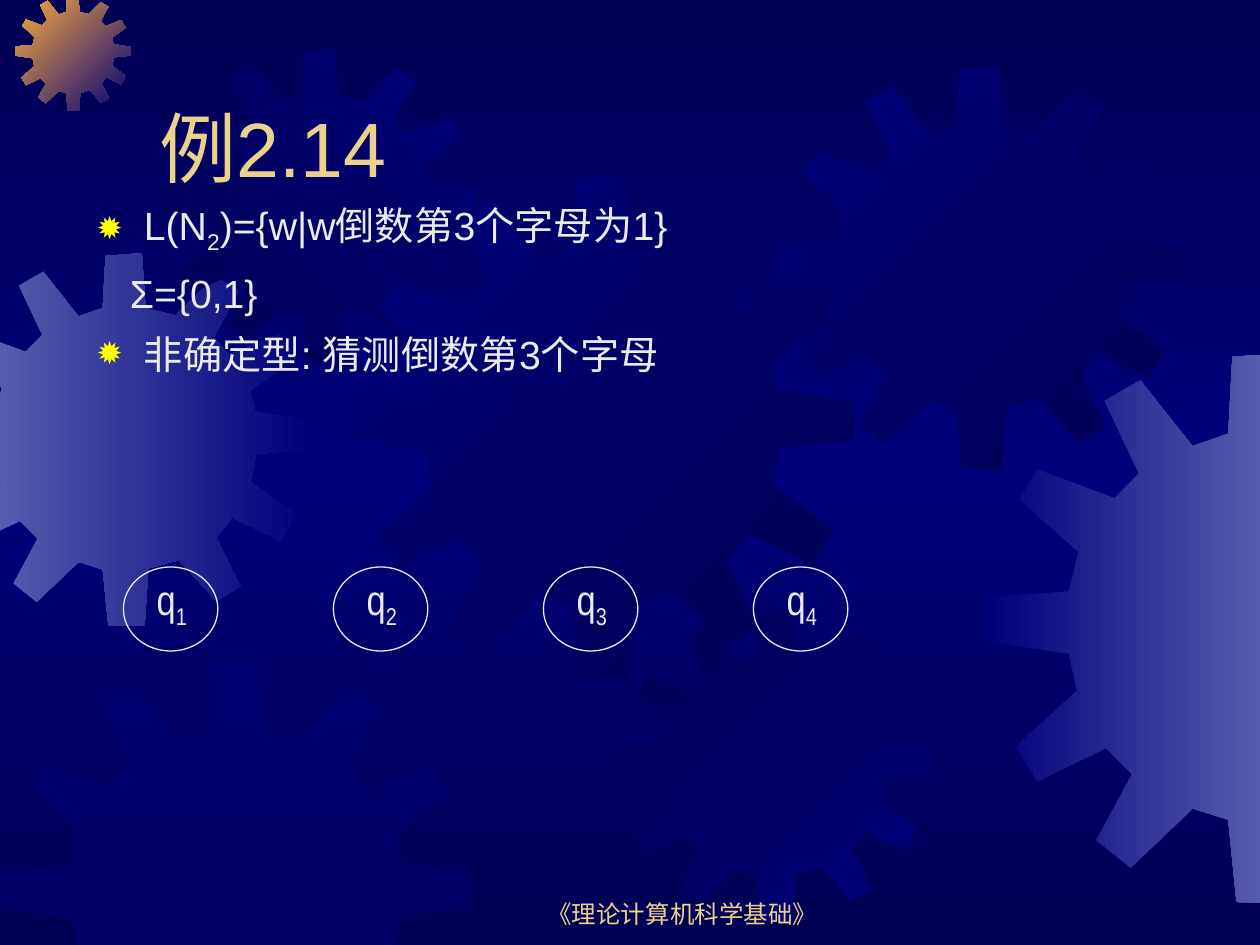
from copy import deepcopy

from lxml.etree import SubElement
from pptx import Presentation
from pptx.dml.color import RGBColor
from pptx.enum.shapes import MSO_SHAPE
from pptx.enum.text import MSO_ANCHOR, MSO_AUTO_SIZE, PP_ALIGN
from pptx.oxml.ns import qn
from pptx.util import Pt

# Content: each line is a list of (text, is_subscript)
TITLE = "例2.14"
BODY = [
    (True, [("L(N", False), ("2", True), (")={w|w倒数第3个字母为1}", False)]),
    (False, [("Σ={0,1}", False)]),
    (True, [("非确定型: 猜测倒数第3个字母", False)]),
]
STATES = ["1", "2", "3", "4"]
FOOTER = "《理论计算机科学基础》"

# Colours
NAVY, BLUE, LILAC, ORANGE = "000054", "00007A", "555BAD", "FCAB40"
GOLD, WHITE, YELLOW = "EBD189", "EAEAEA", "FFFF00"

WIDTH, HEIGHT = 720, 540

# One gear outline on a 401-unit square, reused at every size
GEAR_UNITS = 401
GEAR = [
    (255, 67), (223, 59), (219, 0), (180, 3), (177, 59), (151, 68),
    (113, 20), (87, 35), (112, 88), (94, 106), (38, 85), (25, 107),
    (68, 145), (61, 174), (1, 178), (0, 210), (61, 219), (67, 246),
    (22, 287), (38, 312), (88, 288), (107, 307), (81, 355), (106, 375),
    (151, 332), (177, 340), (183, 400), (222, 401), (226, 339), (259, 330),
    (299, 374), (325, 358), (299, 306), (316, 284), (368, 309), (384, 281),
    (336, 246), (342, 216), (401, 210), (400, 180), (341, 171), (335, 148),
    (383, 114), (367, 87), (313, 109), (296, 91), (323, 41), (297, 25),
]

# Gears: left, top, size, colours, clockwise gradient angle
GEARS = [
    (-35.3, 144.7, 213.1, [LILAC, BLUE], 0),
    (8.6, -2.9, 66.2, [ORANGE, BLUE], 45),
    (93.6, 28.1, 178.6, [NAVY, BLUE], 315),
    (199.4, 100.1, 289, [BLUE, NAVY], 45),
    (0, 378, 269.3, [BLUE], 0),
    (353.5, 348.5, 178.6, [NAVY, BLUE], 45),
    (445, 38.2, 230.4, [BLUE, NAVY], 45),
    (563, 201.6, 314.6, [BLUE, LILAC], 0),
]


def color(hex_text):
    return RGBColor.from_string(hex_text)


def set_gradient(fill, colors, angle):
    fill.gradient()
    fill.gradient_angle = -angle % 360
    stop_list = fill._xPr.find(qn("a:gradFill")).find(qn("a:gsLst"))
    while len(stop_list) < len(colors):
        stop_list.append(deepcopy(stop_list[0]))
    for index, (stop, hex_text) in enumerate(zip(fill.gradient_stops, colors)):
        stop.color.rgb = color(hex_text)
        stop.position = index / (len(colors) - 1)


def clip(points, axis, limit, sign):
    """Keep the part of an outline where sign * (coordinate - limit) >= 0."""
    kept = []
    for start, end in zip(points[-1:] + points[:-1], points):
        before, after = (sign * (point[axis] - limit) for point in (start, end))
        if (before >= 0) != (after >= 0):
            share = before / (before - after)
            kept.append(tuple(a + share * (b - a) for a, b in zip(start, end)))
        if after >= 0:
            kept.append(end)
    return kept


def add_gear(shapes, left, top, size, colors, angle):
    scale = size / GEAR_UNITS
    points = [(left + x * scale, top + y * scale) for x, y in GEAR]
    for axis, limit, sign in [(0, 0, 1), (0, WIDTH, -1), (1, 0, 1), (1, HEIGHT, -1)]:
        points = clip(points, axis, limit, sign)
    corners = [(Pt(x), Pt(y)) for x, y in points]
    builder = shapes.build_freeform(*corners[0], scale=1.0)
    builder.add_line_segments(corners[1:], close=True)
    shape = builder.convert_to_shape()
    shape.shadow.inherit = False
    shape.line.fill.background()
    if len(colors) > 1:
        set_gradient(shape.fill, colors, angle)
    else:
        shape.fill.solid()
        shape.fill.fore_color.rgb = color(colors[0])
        tint = shape.fill._xPr.find(qn("a:solidFill"))[0]
        SubElement(tint, qn("a:alpha"), val="50000")


def place(shape, left, top, width, height):
    shape.left, shape.top, shape.width, shape.height = map(Pt, (left, top, width, height))


def set_font(paragraph, size, hex_text, name="Arial"):
    paragraph.font.size = Pt(size)
    paragraph.font.name = name
    paragraph.font.color.rgb = color(hex_text)


def add_runs(paragraph, runs):
    for text, is_subscript in runs:
        run = paragraph.add_run()
        run.text = text
        if is_subscript:
            run._r.get_or_add_rPr().set("baseline", "-25000")


def set_bullet(paragraph, has_bullet):
    properties = paragraph._p.get_or_add_pPr()
    properties.set("marL", str(Pt(27 if has_bullet else 19)))
    properties.set("indent", str(Pt(-27 if has_bullet else 0)))
    if has_bullet:
        bullet_color = SubElement(properties, qn("a:buClr"))
        SubElement(bullet_color, qn("a:srgbClr"), val=YELLOW)
        SubElement(properties, qn("a:buSzPct"), val="80000")
        SubElement(properties, qn("a:buChar"), char="✹")
    else:
        SubElement(properties, qn("a:buNone"))


def add_text(shapes, box, runs, size, hex_text, name="Arial"):
    frame = shapes.add_textbox(*map(Pt, box)).text_frame
    frame.word_wrap = True
    paragraph = frame.paragraphs[0]
    add_runs(paragraph, runs)
    set_font(paragraph, size, hex_text, name)
    return frame


def main():
    presentation = Presentation()
    presentation.slide_width, presentation.slide_height = Pt(WIDTH), Pt(HEIGHT)
    slide = presentation.slides.add_slide(presentation.slide_layouts[1])
    shapes = slide.shapes
    title, body = shapes.title, slide.placeholders[1]

    # Background and gears, kept behind the placeholders
    set_gradient(slide.background.fill, [NAVY, BLUE, NAVY], 90)
    for gear in GEARS:
        add_gear(shapes, *gear)
    for placeholder in (title, body):
        shapes.element.append(placeholder.element)
        placeholder.text_frame.auto_size = MSO_AUTO_SIZE.NONE

    # Title
    place(title, 84, 24, 612, 90)
    title.text_frame.text = TITLE
    title.text_frame.vertical_anchor = MSO_ANCHOR.BOTTOM
    heading = title.text_frame.paragraphs[0]
    heading.alignment = PP_ALIGN.LEFT
    set_font(heading, 44, GOLD)

    # Body list
    place(body, 48, 111.6, 612, 108)
    frame = body.text_frame
    for index, (has_bullet, runs) in enumerate(BODY):
        paragraph = frame.add_paragraph() if index else frame.paragraphs[0]
        set_bullet(paragraph, has_bullet)
        add_runs(paragraph, runs)
        paragraph.space_before = Pt(8 if index else 0)
        set_font(paragraph, 22.4, WHITE)

    # Row of states
    for index, number in enumerate(STATES):
        left = 70.5 + 120 * index
        circle = shapes.add_shape(MSO_SHAPE.OVAL, Pt(left), Pt(324), Pt(54), Pt(48))
        circle.shadow.inherit = False
        circle.fill.background()
        circle.line.color.rgb = color(WHITE)
        circle.line.width = Pt(0.75)
        add_text(shapes, (left + 12, 324, 36, 40), [("q", False), (number, True)],
                 24, WHITE, "Arial Narrow")

    # Footer
    footer = add_text(shapes, (276, 498, 228, 36), [(FOOTER, False)], 14, GOLD)
    footer.vertical_anchor = MSO_ANCHOR.BOTTOM
    footer.paragraphs[0].alignment = PP_ALIGN.CENTER

    presentation.save("out.pptx")


if __name__ == "__main__":
    main()
